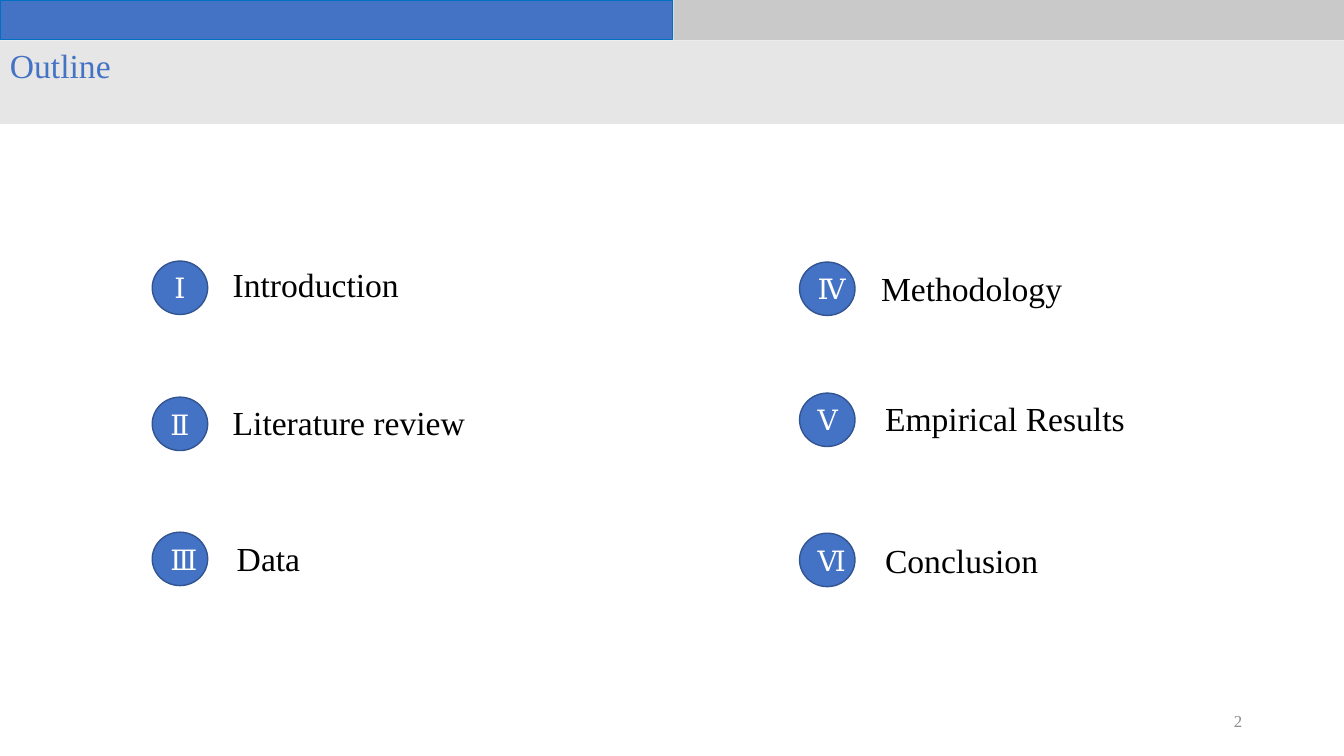
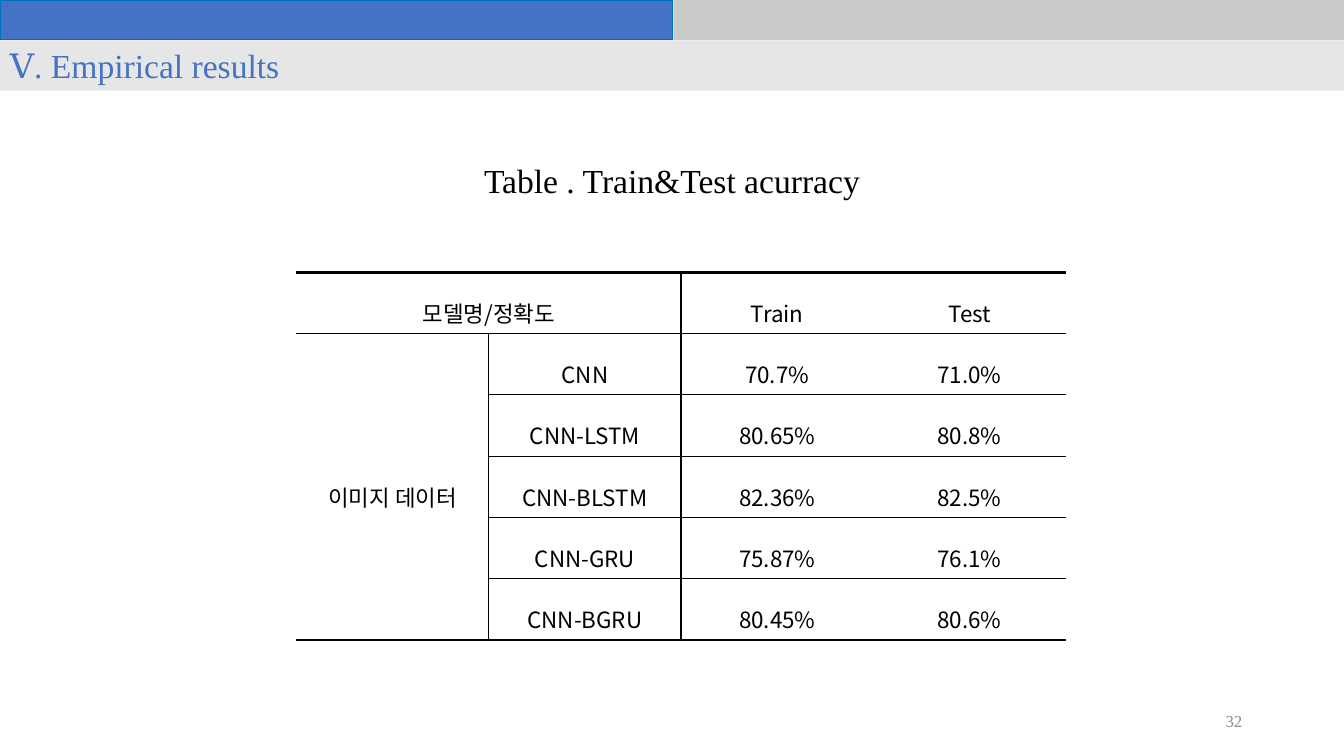
from lxml.etree import SubElement
from pptx import Presentation
from pptx.dml.color import RGBColor
from pptx.enum.shapes import MSO_SHAPE as SHAPE
from pptx.enum.text import MSO_ANCHOR as ANCHOR, PP_ALIGN as ALIGN
from pptx.oxml import parse_xml
from pptx.oxml.ns import nsdecls, qn
from pptx.util import Inches, Pt

COLORS = {
    "blue": "4472C4",
    "band_line": "0070C0",
    "circle_line": "325491",
    "gray": "C9C9C9",
    "title_band": "E7E6E6",
    "number": "8C8C8C",
    "black": "000000",
    "white": "FFFFFF",
}
SERIF = "Times New Roman"
SANS = "Noto Sans CJK KR"

# numeral, label, circle left and top, label left and top
OUTLINE = [
    ("Ⅰ", "Introduction", 1.51, 2.59, 2.21, 2.57),
    ("Ⅱ", "Literature review", 1.51, 3.94, 2.21, 3.94),
    ("Ⅲ", "Data", 1.51, 5.28, 2.25, 5.29),
    ("Ⅳ", "Methodology", 7.93, 2.6, 8.64, 2.61),
    ("Ⅴ", "Empirical Results", 7.93, 3.9, 8.68, 3.9),
    ("Ⅵ", "Conclusion", 7.93, 5.29, 8.68, 5.31),
]
ACCURACY = [
    ("모델명/정확도", "", "Train", "Test"),
    ("이미지 데이터", "CNN", "70.7%", "71.0%"),
    ("", "CNN-LSTM", "80.65%", "80.8%"),
    ("", "CNN-BLSTM", "82.36%", "82.5%"),
    ("", "CNN-GRU", "75.87%", "76.1%"),
    ("", "CNN-BGRU", "80.45%", "80.6%"),
]
ROWS, COLS = len(ACCURACY), len(ACCURACY[0])


def rgb(name):
    return RGBColor.from_string(COLORS[name])


def write(tf, text, size=24, color="black", font=SERIF, align=ALIGN.LEFT,
          anchor=ANCHOR.TOP, spacing=None, after=None):
    """Put one formatted run into a text frame."""
    tf.word_wrap = True
    tf.vertical_anchor = anchor
    p = tf.paragraphs[0]
    p.alignment = align
    p.line_spacing = spacing
    p.space_after = None if after is None else Pt(after)
    r = p.add_run()
    r.text = text
    r.font.size = Pt(size)
    r.font.name = font
    r.font.color.rgb = rgb(color)
    SubElement(r.font._element, qn("a:ea")).set("typeface", font)


def add_box(s, kind, left, top, width, height, fill, line=None):
    sp = s.shapes.add_shape(kind, Inches(left), Inches(top),
                            Inches(width), Inches(height))
    sp.shadow.inherit = False
    sp.fill.solid()
    sp.fill.fore_color.rgb = rgb(fill)
    if line:
        sp.line.color.rgb = rgb(line)
        sp.line.width = Pt(1)
    else:
        sp.line.fill.background()
    return sp


def add_text(s, left, top, width, height, text, **fmt):
    sp = s.shapes.add_textbox(Inches(left), Inches(top),
                              Inches(width), Inches(height))
    write(sp.text_frame, text, **fmt)


def add_slide(prs, title, number, band_height):
    """Add a slide with the top bands, the title band and the page number."""
    s = prs.slides.add_slide(prs.slide_layouts[6])
    add_box(s, SHAPE.RECTANGLE, 0, 0, 6.67, 0.39, "blue", "band_line")
    add_box(s, SHAPE.RECTANGLE, 6.68, 0, 6.67, 0.4, "gray")
    band = add_box(s, SHAPE.RECTANGLE, 0, 0.4, 13.33, band_height, "title_band")
    write(band.text_frame, title, color="blue")
    add_text(s, 9.42, 6.95, 3, 0.4, str(number), size=12, color="number",
             align=ALIGN.RIGHT, anchor=ANCHOR.MIDDLE)
    return s


def add_outline_item(s, numeral, label, x, y, label_x, label_y):
    circle = add_box(s, SHAPE.OVAL, x, y, 0.55, 0.53, "blue", "circle_line")
    write(circle.text_frame, numeral, size=20, color="white",
          align=ALIGN.CENTER, anchor=ANCHOR.MIDDLE)
    add_text(s, label_x, label_y, 2.76, 0.5, label)


def rule_above(row, col):
    """Width of the horizontal rule above a row; 0 inside the merged cell."""
    if row in (0, ROWS):
        return 2.25
    return 0 if col == 0 and row > 1 else 1


def rule_before(row, col):
    """Width of the vertical rule before a column."""
    return 1 if col == 2 or (col == 1 and row > 0) else 0


def set_borders(cell, **widths):
    tc_pr = cell._tc.get_or_add_tcPr()
    for i, (side, width) in enumerate(widths.items()):
        paint = (f'<a:solidFill><a:srgbClr val="{COLORS["black"]}"/></a:solidFill>'
                 if width else "<a:noFill/>")
        tc_pr.insert(i, parse_xml(
            f'<a:ln{side} {nsdecls("a")} w="{Pt(width)}">{paint}</a:ln{side}>'))


def format_cell(cell, row, col):
    cell.fill.background()
    cell.vertical_anchor = ANCHOR.MIDDLE
    side, end = (0.01, 0.01) if col == 0 else (0.07, 0.02)
    cell.margin_left = cell.margin_right = Inches(side)
    cell.margin_top = cell.margin_bottom = Inches(end)
    set_borders(cell,
                L=rule_before(row, col),
                R=rule_before(row, col + cell.span_width),
                T=rule_above(row, col),
                B=rule_above(row + cell.span_height, col))


def add_accuracy_table(s):
    table = s.shapes.add_table(ROWS, COLS, Inches(2.94), Inches(2.7),
                               Inches(7.63), Inches(3.65)).table
    table.first_row = table.horz_banding = False
    table.cell(0, 0).merge(table.cell(0, 1))
    table.cell(1, 0).merge(table.cell(ROWS - 1, 0))
    for i, values in enumerate(ACCURACY):
        for j, text in enumerate(values):
            cell = table.cell(i, j)
            if text:
                write(cell.text_frame, text, size=16, font=SANS,
                      align=ALIGN.CENTER, spacing=1.6, after=8)
            format_cell(cell, i, j)


def main():
    prs = Presentation()
    prs.slide_width, prs.slide_height = Inches(13.33), Inches(7.5)

    s = add_slide(prs, "Outline", 2, 0.83)
    for item in OUTLINE:
        add_outline_item(s, *item)

    s = add_slide(prs, "Ⅴ. Empirical results", 32, 0.5)
    add_text(s, 2.94, 1.54, 7.45, 0.5, "Table . Train&Test acurracy",
             align=ALIGN.CENTER)
    add_accuracy_table(s)

    prs.save("out.pptx")


if __name__ == "__main__":
    main()
